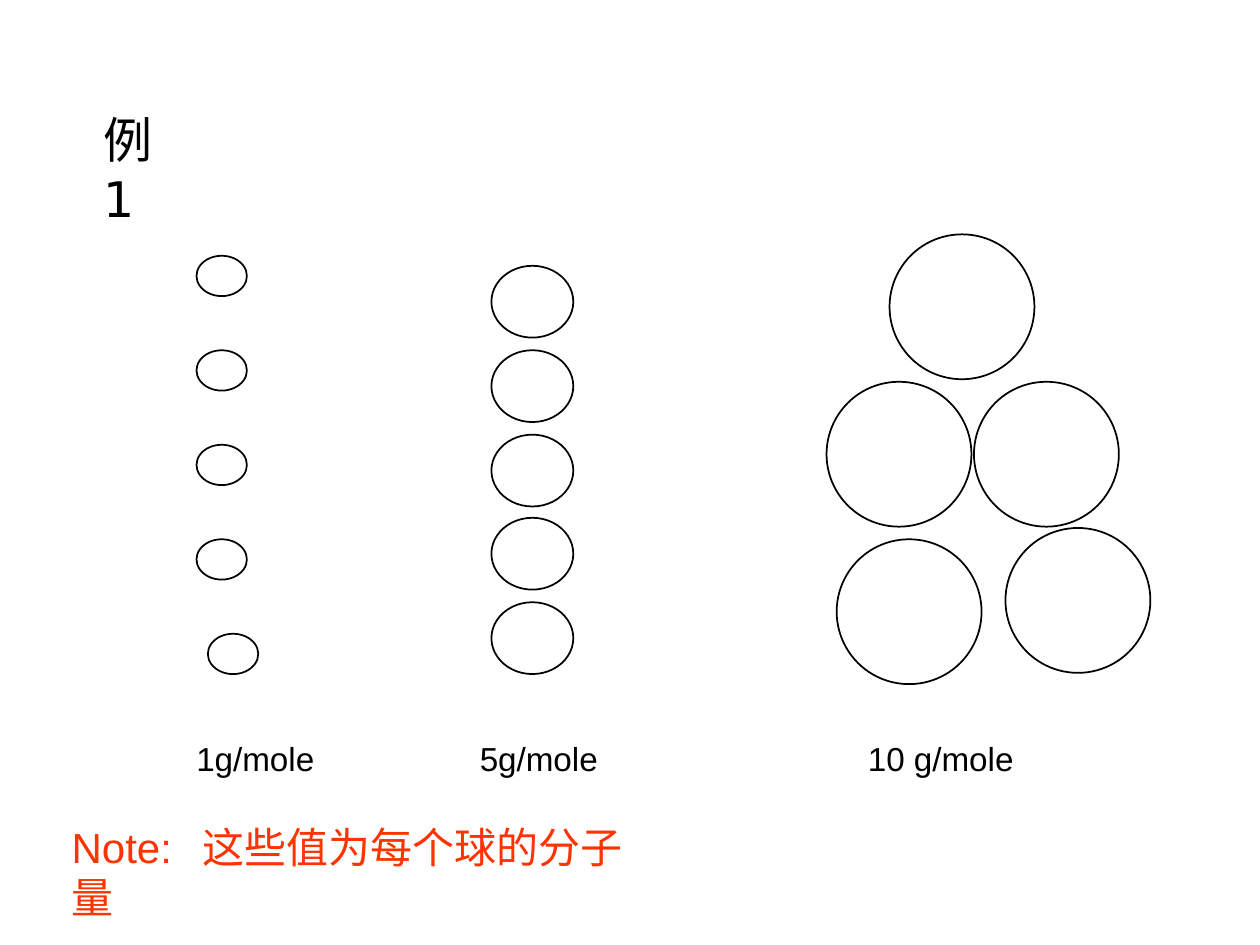
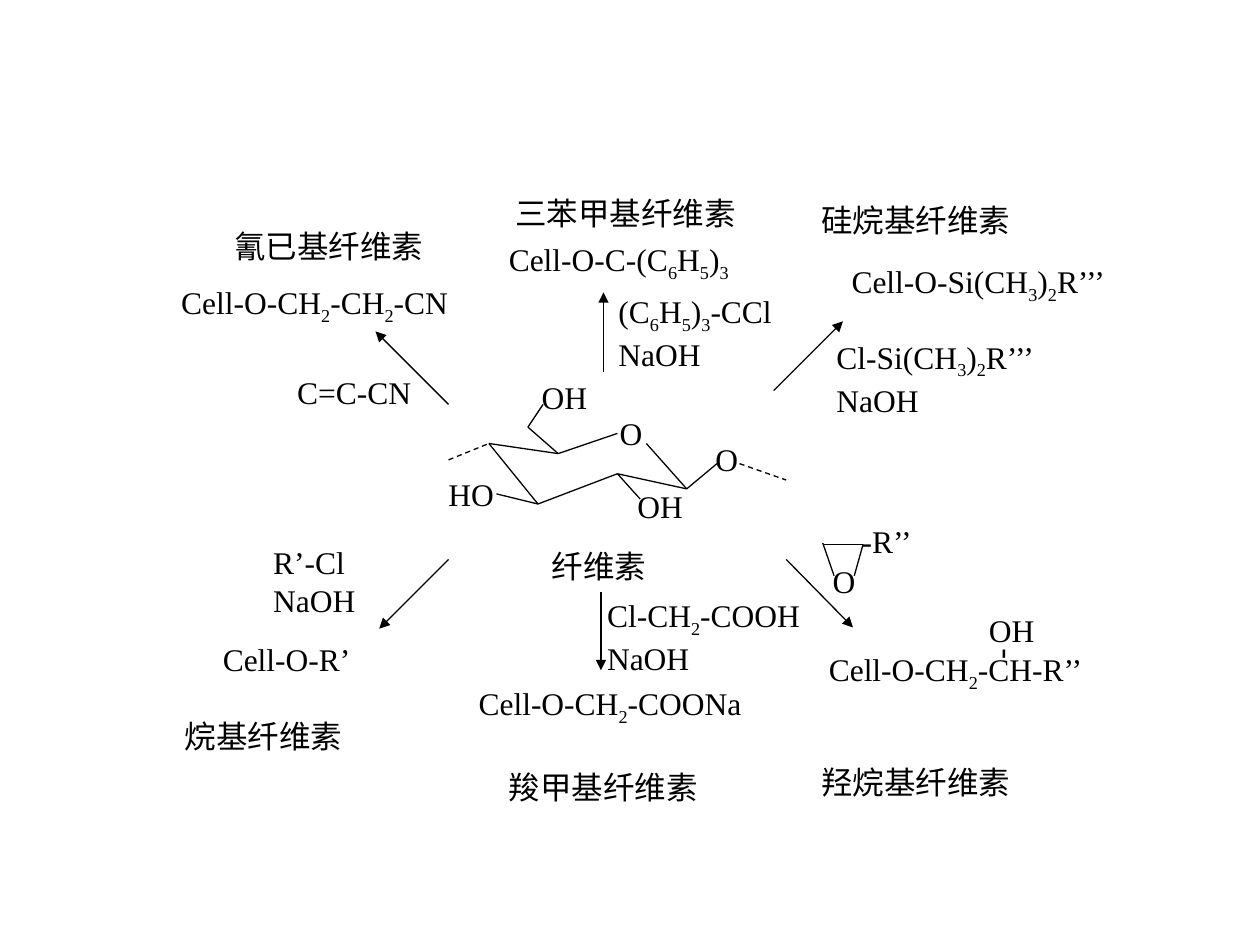
import itertools

import pptx
import pptx.dml.color
import pptx.enum.dml
import pptx.enum.shapes
import pptx.enum.text
import pptx.oxml
import pptx.oxml.ns
import pptx.util

PX = 9144  # 100 px to the inch
BLACK, WHITE, RED = "000000", "FFFFFF", "FF3300"
SANS, SERIF, WIDE_SANS = "Arial", "Times New Roman", "DejaVu Sans"
LINE_HEIGHT = 40
A = pptx.oxml.ns.nsdecls("a")


def px(*lengths):
    return [pptx.util.Emu(length * PX) for length in lengths]


def colour(code):
    return pptx.dml.color.RGBColor.from_string(code)


def add_text(page, left, top, width, height, lines, size=18, font=SERIF,
             ink=BLACK, wrap=False, subscripts=False, tab=None):
    """Add a text box, one paragraph per line; digits drop if subscripts is set."""
    box = page.shapes.add_textbox(*px(left, top, width, height))
    frame = box.text_frame
    frame.word_wrap = wrap
    frame.auto_size = pptx.enum.text.MSO_AUTO_SIZE.SHAPE_TO_FIT_TEXT
    for number, line in enumerate(lines):
        para = frame.add_paragraph() if number else frame.paragraphs[0]
        if tab:
            para._p.get_or_add_pPr().append(pptx.oxml.parse_xml(
                f'<a:tabLst {A}><a:tab pos="{tab * PX}" algn="l"/></a:tabLst>'))
        for is_low, letters in itertools.groupby(
                line, lambda letter: subscripts and letter.isdigit()):
            span = para.add_run()
            span.text = "".join(letters)
            span.font.size = pptx.util.Pt(size)
            span.font.name = font
            span.font.color.rgb = colour(ink)
            if is_low:
                span._r.get_or_add_rPr().set("baseline", "-25000")
    return box


def add_formula(page, left, top, width, *lines):
    height = LINE_HEIGHT + 31 * (len(lines) - 1)
    return add_text(page, left, top, width, height, lines, subscripts=True)


def add_line(page, start, end, dashed=False, arrow=False):
    line = page.shapes.add_connector(
        pptx.enum.shapes.MSO_CONNECTOR.STRAIGHT, *px(*start, *end))
    line.line.color.rgb = colour(BLACK)
    line.line.width = pptx.util.Pt(0.75)
    if dashed:
        line.line.dash_style = pptx.enum.dml.MSO_LINE.DASH
    if arrow:
        line.line._get_or_add_ln().append(
            pptx.oxml.parse_xml(f'<a:tailEnd {A} type="triangle"/>'))
    line._element.spPr.append(pptx.oxml.parse_xml(f"<a:effectLst {A}/>"))


def add_balls(page, left, top, width, height, offsets):
    for across, down in offsets:
        ball = page.shapes.add_shape(
            pptx.enum.shapes.MSO_SHAPE.OVAL,
            *px(left + across, top + down, width, height))
        ball.shadow.inherit = False
        ball.fill.solid()
        ball.fill.fore_color.rgb = colour(WHITE)
        ball.line.color.rgb = colour(BLACK)
        ball.line.width = pptx.util.Pt(1)


def build_molar_mass_page(page):
    small = [(0, 75 * row) for row in range(4)] + [(9, 300)]
    medium = [(0, round(66.75 * row)) for row in range(5)]
    large = [(50, 0), (117, 117), (0, 117), (142, 233), (8, 242)]
    add_balls(page, 156, 203, 40, 32, small)
    add_balls(page, 390, 211, 65, 57, medium)
    add_balls(page, 656, 186, 115, 115, large)
    labels = [(146, 114, "1g/mole"), (371, 114, "5g/mole"), (679, 136, "10 g/mole")]
    for left, width, label in labels:
        add_text(page, left, 581, width, 41, [label], 19, SANS)
    add_text(page, 47, 647, 485, 50, ["Note:\t这些值为每个球的分子量"],
             24, SANS, RED, wrap=True, tab=104)
    add_text(page, 72, 82, 80, 57, ["例1"], 28, WIDE_SANS, wrap=True)


def add_skeleton(page, left, top, bonds, atoms):
    """Draw bonds (start, end, dashed) and atoms (place, width, name) from a corner."""
    def place(point):
        return left + point[0], top + point[1]

    for start, end, dashed in bonds:
        add_line(page, place(start), place(end), dashed)
    for point, width, name in atoms:
        add_formula(page, *place(point), width, name)


def add_cellulose(page, left, top):
    west, southwest, south, east = (42, 57), (81, 105), (144, 81), (199, 93)
    north, branch = (97, 65), (73, 44)
    solid = [
        (west, southwest), (southwest, south), (south, east), (west, north),
        (north, (144, 49)), ((167, 57), east), (east, (223, 73)),
        (branch, north), ((48, 97), southwest), (south, (162, 101)),
        ((85, 26), branch),
    ]
    dashed = [((241, 73), (278, 86)), ((10, 70), west)]
    bonds = [(*ends, False) for ends in solid] + [(*ends, True) for ends in dashed]
    atoms = [((136, 29), 38, "O"), ((212, 49), 38, "O"), ((74, 0), 57, "OH"),
             ((150, 87), 57, "OH"), ((0, 77), 57, "HO")]
    add_skeleton(page, left, top, bonds, atoms)
    add_formula(page, left + 82, top + 134, 96, "纤维素")


def add_epoxide(page, left, top):
    bonds = [((2, 23), (34, 23), False), ((2, 22), (11, 48), False),
             ((34, 23), (27, 48), False)]
    add_skeleton(page, left, top, bonds, [((0, 32), 38, "O")])


def add_hydroxyl(page, left, top):
    bond = add_text(page, left, top + 25, 51, 21, ["-"], font=WIDE_SANS)
    bond.text_frame._txBody.bodyPr.set("vert", "eaVert")
    add_formula(page, left + 6, top, 57, "OH")


def add_reaction(page, start, reach, *captions):
    """Draw an arrow and its captions, all placed from the start of the arrow."""
    left, top = start
    add_line(page, start, (left + reach[0], top + reach[1]), arrow=True)
    for across, down, width, *lines in captions:
        add_formula(page, left + across, top + down, width, *lines)


# Start and reach of the arrow, then reagent, product and name of the derivative
REACTIONS = [
    ((479, 295), (0, -63), (2, -68, 146, "(C6H5)3-CCl", "NaOH"),
     (-85, -109, 200, "Cell-O-C-(C6H5)3"), (-80, -146, 197, "三苯甲基纤维素")),
    ((477, 470), (0, 62), (-5, -2, 176, "Cl-CH2-COOH", "NaOH"),
     (-107, 68, 232, "Cell-O-CH2-COONa"), (-83, 135, 172, "羧甲基纤维素")),
    ((614, 310), (55, -55), (40, -47, 181, "Cl-Si(CH3)2R’’’", "NaOH"),
     (52, -107, 225, "Cell-O-Si(CH3)2R’’’"), (28, -155, 172, "硅烷基纤维素")),
    ((356, 321), (-58, -58), (-130, -30, 111, "C=C-CN"),
     (-222, -101, 240, "Cell-O-CH2-CH2-CN"), (-180, -146, 172, "氰已基纤维素")),
    ((356, 444), (-55, 55), (-149, -18, 86, "R’-Cl", "NaOH"),
     (-189, 59, 123, "Cell-O-R’"), (-219, 120, 147, "烷基纤维素")),
    ((624, 444), (53, 54), (50, -35, 60, "-R’’"),
     (24, 67, 224, "Cell-O-CH2-CH-R’’"), (18, 157, 172, "羟烷基纤维素")),
]


def build_cellulose_page(page):
    add_cellulose(page, 346, 295)
    for reaction in REACTIONS:
        add_reaction(page, *reaction)
    add_epoxide(page, 651, 409)
    add_hydroxyl(page, 769, 480)


def main():
    deck = pptx.Presentation()
    deck.slide_width, deck.slide_height = px(1000, 750)
    for build in (build_molar_mass_page, build_cellulose_page):
        build(deck.slides.add_slide(deck.slide_layouts[6]))
    deck.save("out.pptx")


if __name__ == "__main__":
    main()
